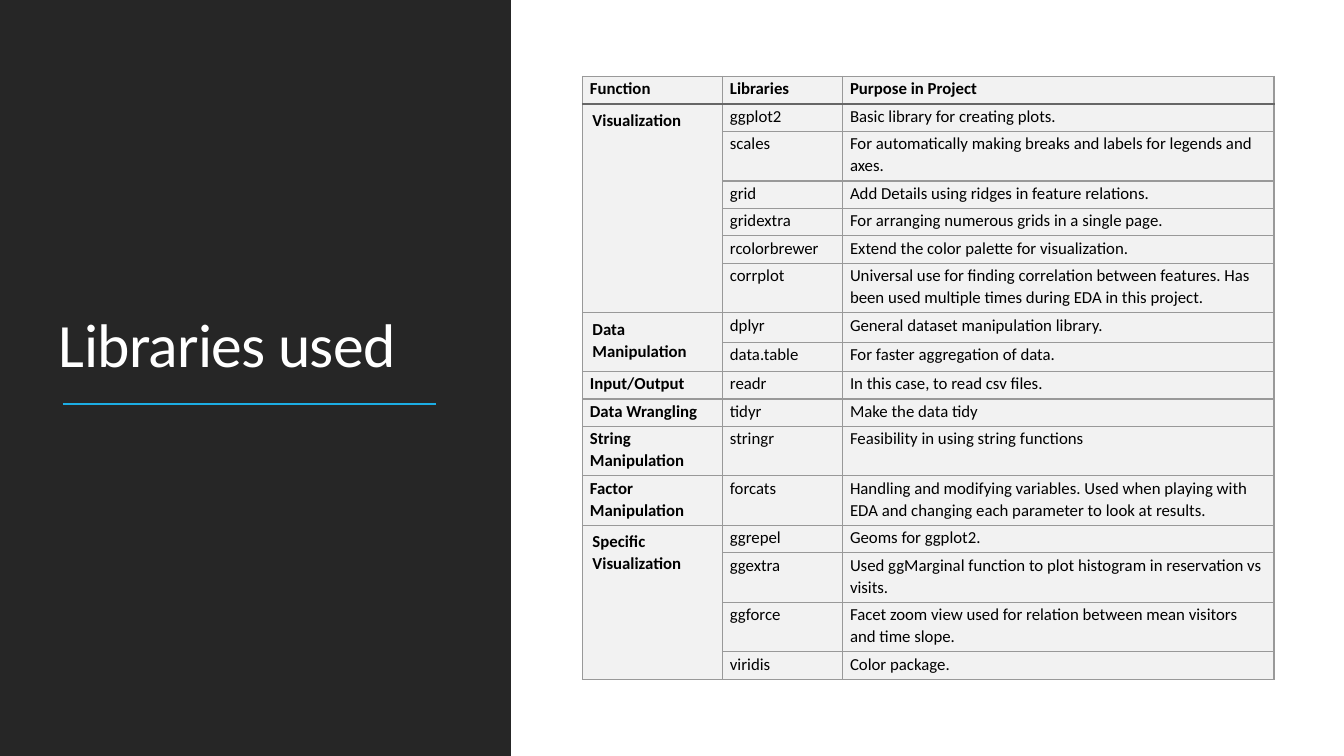
from lxml.etree import SubElement
from pptx import Presentation
from pptx.dml.color import RGBColor
from pptx.enum.shapes import MSO_CONNECTOR, MSO_SHAPE
from pptx.enum.text import MSO_ANCHOR, MSO_AUTO_SIZE, PP_ALIGN
from pptx.oxml.ns import qn
from pptx.util import Pt

HEADINGS = ("Function", "Libraries", "Purpose in Project")
LIBRARIES = {
    "Visualization": [
        ("ggplot2", "Basic library for creating plots."),
        ("scales", "For automatically making breaks and labels for legends and axes."),
        ("grid", "Add Details using ridges in feature relations."),
        ("gridextra", "For arranging numerous grids in a single page."),
        ("rcolorbrewer", "Extend the color palette for visualization."),
        ("corrplot", "Universal use for finding correlation between features. "
                     "Has been used multiple times during EDA in this project."),
    ],
    "Data Manipulation": [
        ("dplyr", "General dataset manipulation library."),
        ("data.table", "For faster aggregation of data."),
    ],
    "Input/Output": [("readr", "In this case, to read csv files.")],
    "Data Wrangling": [("tidyr", "Make the data tidy")],
    "String Manipulation": [("stringr", "Feasibility in using string functions")],
    "Factor Manipulation": [
        ("forcats", "Handling and modifying variables. Used when playing with "
                    "EDA and changing each parameter to look at results."),
    ],
    "Specific Visualization": [
        ("ggrepel", "Geoms for ggplot2."),
        ("ggextra", "Used ggMarginal function to plot histogram in reservation vs visits."),
        ("ggforce", "Facet zoom view used for relation between mean visitors and time slope."),
        ("viridis", "Color package."),
    ],
}
ONE_LINE, ROOMY_LINE, TWO_LINES = 19.6, 21, 35.4
ROW_HEIGHTS = ([ONE_LINE] * 2 + [TWO_LINES] + [ONE_LINE] * 3 + [TWO_LINES]
               + [ROOMY_LINE] * 2 + [ONE_LINE] * 2 + [TWO_LINES] * 2
               + [ONE_LINE] + [TWO_LINES] * 2 + [ONE_LINE])
COLUMN_WIDTHS = (100, 85.8, 308.2)


def color(hex_code):
    return RGBColor.from_string(hex_code)


class LibrarySlide:
    font = "Calibri"
    dark, light, accent = "262626", "FFFFFF", "1CADE4"
    ink, cell_fill, grid_line, header_line = "000000", "F2F2F2", "999999", "666666"

    def __init__(self, deck):
        self.slide = deck.slides.add_slide(deck.slide_layouts[5])
        self.shapes = self.slide.shapes

    def style_run(self, run, size, hex_code, bold=False):
        run.font.name = self.font
        run.font.size = Pt(size)
        run.font.bold = bold
        run.font.color.rgb = color(hex_code)

    def panel(self, left, top, width, height):
        """Add a dark rectangle behind everything else."""
        panel = self.shapes.add_shape(MSO_SHAPE.RECTANGLE, Pt(left), Pt(top), Pt(width), Pt(height))
        panel.shadow.inherit = False
        panel.fill.solid()
        panel.fill.fore_color.rgb = color(self.dark)
        panel.line.fill.background()
        self.shapes._spTree.insert(2, panel._element)

    def title(self, text, left, top, width, height):
        title = self.shapes.title
        title.left, title.top, title.width, title.height = map(Pt, (left, top, width, height))
        frame = title.text_frame
        frame.text = text
        frame.word_wrap = True
        frame.auto_size = MSO_AUTO_SIZE.NONE
        frame.vertical_anchor = MSO_ANCHOR.BOTTOM
        paragraph = frame.paragraphs[0]
        paragraph.alignment = PP_ALIGN.LEFT
        paragraph.line_spacing = 0.9
        run = paragraph.runs[0]
        self.style_run(run, 44, self.light)
        run._r.get_or_add_rPr().set("spc", "-50")

    def rule(self, left, top, width):
        rule = self.shapes.add_connector(
            MSO_CONNECTOR.STRAIGHT, Pt(left), Pt(top), Pt(left + width), Pt(top))
        rule.line.color.rgb = color(self.accent)
        rule.line.width = Pt(1.5)
        SubElement(rule._element.spPr, qn("a:effectLst"))

    def border(self, cell, side, hex_code, width):
        line = SubElement(cell._tc.get_or_add_tcPr(), qn(f"a:ln{side}"), w=str(Pt(width)))
        fill = SubElement(line, qn("a:solidFill"))
        SubElement(fill, qn("a:srgbClr"), val=hex_code)

    def cell(self, cell, row, text, bold, spanning):
        header_edge = {0: "B", 1: "T"}.get(row)
        for side in "LRTB":
            if side == header_edge:
                self.border(cell, side, self.header_line, 1.5)
            else:
                self.border(cell, side, self.grid_line, 1)
        cell.fill.solid()
        cell.fill.fore_color.rgb = color(self.cell_fill)
        margins = (7.2, 3.6, 7.2, 3.6) if spanning else (5.4, 0.7, 5.4, 0)
        cell.margin_left, cell.margin_top, cell.margin_right, cell.margin_bottom = map(Pt, margins)
        if not text:
            return
        cell.text_frame.text = text
        paragraph = cell.text_frame.paragraphs[0]
        paragraph.line_spacing = 1.07
        paragraph.space_after = Pt(8)
        self.style_run(paragraph.runs[0], 12, self.ink, bold)

    def table(self, left, top, headings, groups):
        """Add a table whose first column spans the rows of each group."""
        rows, spans = [headings], []
        for function, libraries in groups.items():
            if len(libraries) > 1:
                spans.append((len(rows), len(rows) + len(libraries) - 1))
            for index, library in enumerate(libraries):
                rows.append(("" if index else function, *library))
        table = self.shapes.add_table(
            len(rows), len(headings), Pt(left), Pt(top),
            Pt(sum(COLUMN_WIDTHS)), Pt(sum(ROW_HEIGHTS))).table
        table.first_row = table.horz_banding = False
        for column, width in zip(table.columns, COLUMN_WIDTHS):
            column.width = Pt(width)
        for row, height in zip(table.rows, ROW_HEIGHTS):
            row.height = Pt(height)
        for first, last in spans:
            table.cell(first, 0).merge(table.cell(last, 0))
        for row, texts in enumerate(rows):
            for column, text in enumerate(texts):
                cell = table.cell(row, column)
                self.cell(cell, row, text, row == 0 or column == 0, cell.is_merge_origin)


def main():
    deck = Presentation()
    deck.slide_width, deck.slide_height = Pt(960), Pt(540)
    page = LibrarySlide(deck)
    page.panel(0, 0, 365, 540)
    page.title("Libraries used", 34.8, 50.4, 288, 225.4)
    page.rule(45, 288.7, 266.5)
    page.table(416, 54.7, HEADINGS, LIBRARIES)
    deck.save("out.pptx")


if __name__ == "__main__":
    main()
